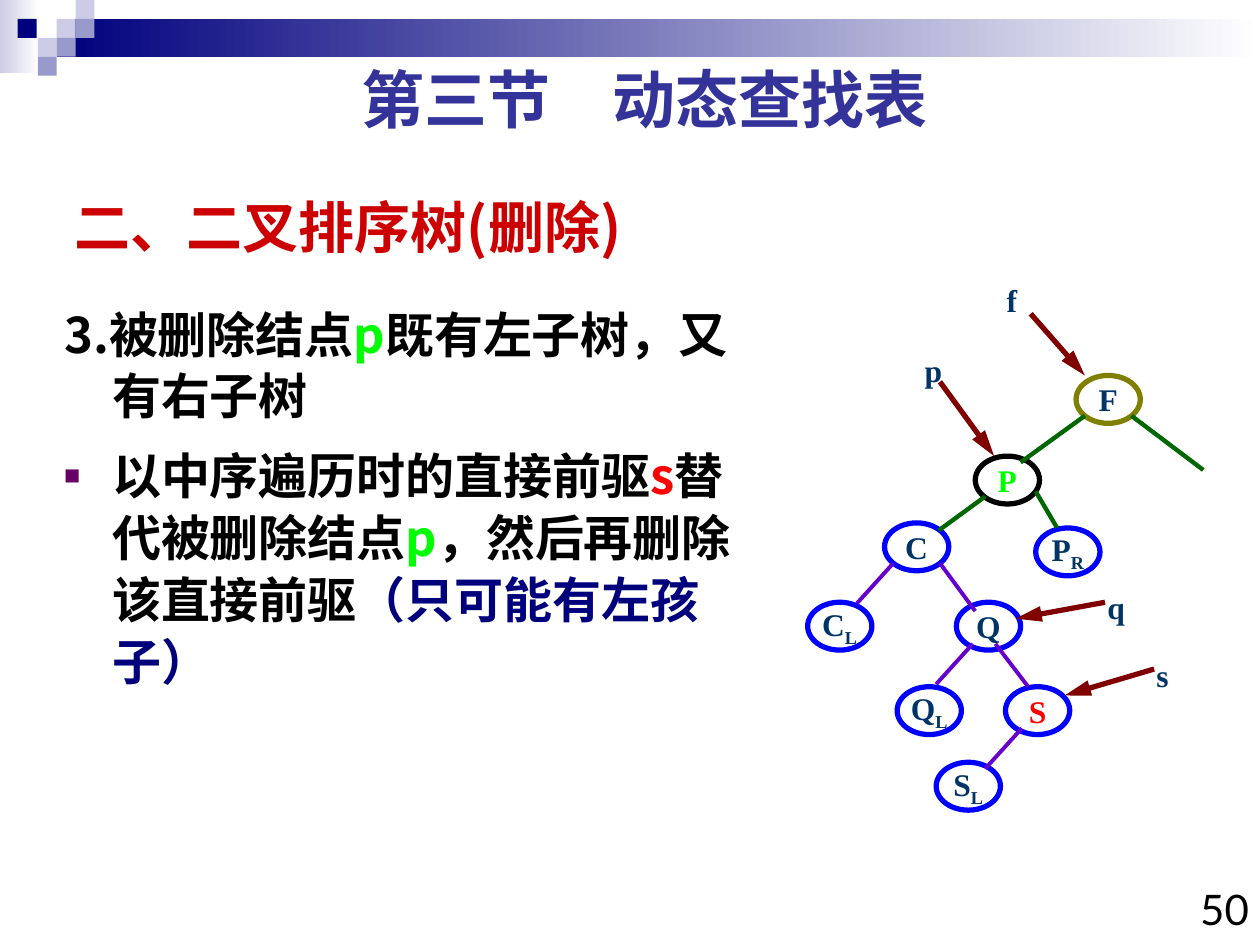
from lxml.etree import SubElement
from pptx import Presentation
from pptx.dml.color import RGBColor
from pptx.enum.shapes import MSO_CONNECTOR, MSO_SHAPE
from pptx.enum.text import MSO_ANCHOR, PP_ALIGN
from pptx.oxml.ns import qn
from pptx.util import Inches, Pt

COLORS = {
    "black": "000000", "white": "FFFFFF", "navy": "00007D", "pale": "CCCCE6",
    "mid": "9999CC", "head": "333399", "title": "CC0000", "bullet": "660066",
    "lime": "00FF00", "red": "FF0000", "blue": "0000FF", "olive": "808000",
    "label": "003366", "green": "006600", "purple": "6600CC", "maroon": "800000",
}
CJK, SANS, SERIF = "Noto Sans CJK SC", "Lato", "Times New Roman"

HEAD = "第三节\u3000动态查找表".replace("\u3000", "　")
TITLE = "二、二叉排序树(删除)"
BODY = [
    (False, [("3.被删除结点", "black"), ("p", "lime"), ("既有左子树，又有右子树", "black")]),
    (True, [("以中序遍历时的直接前驱", "black"), ("s", "red"),
            ("替代被删除结点", "black"), ("p", "lime"),
            ("，然后再删除该直接前驱", "black"), ("（只可能有左孩子）", "navy")]),
]
# left, top, width, height, start colour
BANDS = [(0, 0, 0.31, 0.58, "pale"), (0.45, 0.15, 9.55, 0.3, "navy")]
TILE = 0.15
TILES = [(0.45, 0.15, "pale"), (0.6, 0, "pale"), (0.6, 0.15, "mid"), (0.3, 0.3, "pale"),
         (0.14, 0.15, "navy"), (0.45, 0.3, "mid"), (0.3, 0.45, "mid")]

# letter, subscript, left, top, outline, text colour
NODE = (0.51, 0.38)
NODES = [
    ("F", "", 8.54, 2.98, "olive", "label"),
    ("P", "", 7.74, 3.62, "black", "lime"),
    ("C", "", 7.02, 4.15, "blue", "label"),
    ("P", "R", 8.22, 4.19, "blue", "label"),
    ("C", "L", 6.41, 4.78, "blue", "label"),
    ("Q", "", 7.59, 4.78, "blue", "label"),
    ("Q", "L", 7.12, 5.45, "blue", "label"),
    ("S", "", 7.98, 5.45, "blue", "red"),
    ("S", "L", 7.43, 6.05, "blue", "label"),
]
# colour, width, arrowhead, list of (x1, y1, x2, y2)
LINES = [
    ("green", 2.5, False, [(8.61, 3.3, 8.1, 3.67), (8.98, 3.3, 9.55, 3.73),
                           (7.82, 3.94, 7.45, 4.21), (8.22, 3.9, 8.39, 4.19)]),
    ("purple", 2.25, False, [(7.09, 4.47, 6.8, 4.79), (7.46, 4.47, 7.74, 4.85),
                             (7.72, 5.11, 7.43, 5.43), (7.9, 5.11, 8.16, 5.45),
                             (8.11, 5.78, 7.82, 6.1)]),
    ("maroon", 3, True, [(8.18, 2.49, 8.61, 2.98), (7.46, 3.03, 7.89, 3.62),
                         (8.77, 4.78, 8.06, 4.91), (9.16, 5.31, 8.45, 5.52)]),
]
LABELS = [("f", 7.89, 2.18), ("p", 7.24, 2.74), ("q", 8.69, 4.62), ("s", 9.08, 5.16)]


def rgb(name):
    return RGBColor.from_string(COLORS[name])


def style(para, face, size, bold=True, color=None):
    font = para.font
    font.name, font.size, font.bold = face, Pt(size), bold
    if color:
        font.color.rgb = rgb(color)
    SubElement(font._element, qn("a:ea"), typeface=face)


def place(shape, *box):
    shape.left, shape.top, shape.width, shape.height = map(Inches, box)


def add_rect(shapes, *box):
    rect = shapes.add_shape(MSO_SHAPE.RECTANGLE, *map(Inches, box))
    rect.shadow.inherit = False
    rect.line.fill.background()
    return rect


def add_text(shapes, text, box, face, size, color, bold=True, align=PP_ALIGN.LEFT, wrap=True):
    frame = shapes.add_textbox(*map(Inches, box)).text_frame
    frame.word_wrap = wrap
    para = frame.paragraphs[0]
    para.text, para.alignment = text, align
    style(para, face, size, bold, color)


def add_decor(shapes):
    for *box, color in BANDS:
        fill = add_rect(shapes, *box).fill
        fill.gradient()
        fill.gradient_angle = 0
        for stop, name in zip(fill.gradient_stops, (color, "white")):
            stop.color.rgb = rgb(name)
    for left, top, color in TILES:
        fill = add_rect(shapes, left, top, TILE, TILE).fill
        fill.solid()
        fill.fore_color.rgb = rgb(color)


def fill_body(frame):
    frame.word_wrap = True
    for i, (marked, runs) in enumerate(BODY):
        para = frame.paragraphs[0] if i == 0 else frame.add_paragraph()
        para.line_spacing = 1.05
        para.space_before = Pt(10.5 if i else 0)
        props = para._p.get_or_add_pPr()
        props.set("marL", str(Inches(0.38)))
        props.set("indent", str(Inches(-0.38)))
        if marked:
            tint = SubElement(props, qn("a:buClr"))
            SubElement(tint, qn("a:srgbClr"), val=COLORS["bullet"])
            SubElement(props, qn("a:buSzPct"), val="55000")
            SubElement(props, qn("a:buChar"), char="■")
        else:
            SubElement(props, qn("a:buNone"))
        style(para, CJK, 28)
        for text, color in runs:
            run = para.add_run()
            run.text = text
            run.font.color.rgb = rgb(color)


def add_node(shapes, letter, sub, left, top, edge, color):
    node = shapes.add_shape(MSO_SHAPE.OVAL, *map(Inches, (left, top, *NODE)))
    node.shadow.inherit = False
    node.fill.background()
    node.line.color.rgb = rgb(edge)
    node.line.width = Pt(3)
    frame = node.text_frame
    frame.word_wrap = False
    frame.vertical_anchor = MSO_ANCHOR.MIDDLE
    para = frame.paragraphs[0]
    para.alignment = PP_ALIGN.CENTER
    style(para, SERIF, 18, color=color)
    for text, base in ((letter, 0), (sub, -25000)):
        if text:
            run = para.add_run()
            run.text = text
            run.font.color.rgb = rgb(color)
            if base:
                run.font._element.set("baseline", str(base))


def add_line(shapes, ends, color, width, arrow):
    line = shapes.add_connector(MSO_CONNECTOR.STRAIGHT, *map(Inches, ends))
    line.line.color.rgb = rgb(color)
    line.line.width = Pt(width)
    if arrow:
        SubElement(line.line._get_or_add_ln(), qn("a:tailEnd"), type="triangle", w="med", len="lg")
    SubElement(line._element.spPr, qn("a:effectLst"))


def main():
    deck = Presentation()
    deck.slide_width, deck.slide_height = Inches(10), Inches(7.5)
    slide = deck.slides.add_slide(deck.slide_layouts[1])
    shapes = slide.shapes
    add_decor(shapes.add_group_shape().shapes)

    title, body = slide.placeholders
    place(title, 0.49, 1.42, 6.25, 0.75)
    title.text_frame.vertical_anchor = MSO_ANCHOR.MIDDLE
    para = title.text_frame.paragraphs[0]
    para.text, para.alignment = TITLE, PP_ALIGN.LEFT
    style(para, CJK, 32, color="title")
    place(body, 0.41, 2.34, 5.67, 4.42)
    fill_body(body.text_frame)

    add_text(shapes, HEAD, (0.49, 0.43, 9.25, 0.7), SANS, 36, "head", align=PP_ALIGN.CENTER)
    add_text(shapes, "50", (9.34, 6.96, 0.67, 0.59), SANS, 24, "black", False, PP_ALIGN.RIGHT)

    tree = shapes.add_group_shape().shapes
    for node in NODES:
        add_node(tree, *node)
    for color, width, arrow, spans in LINES:
        for ends in spans:
            add_line(tree, ends, color, width, arrow)
    for text, left, top in LABELS:
        add_text(tree, text, (left, top, 0.34, 0.4), SERIF, 18, "label", wrap=False)
    deck.save("out.pptx")


if __name__ == "__main__":
    main()
